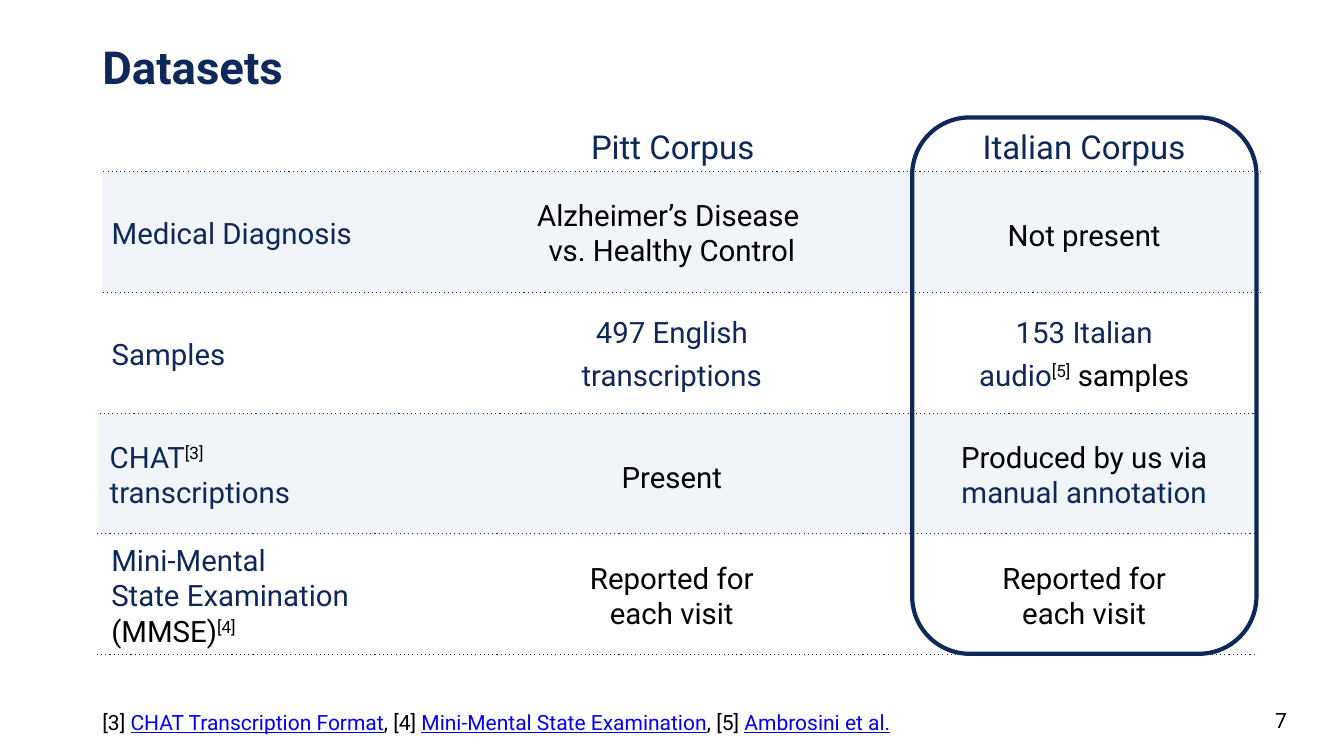
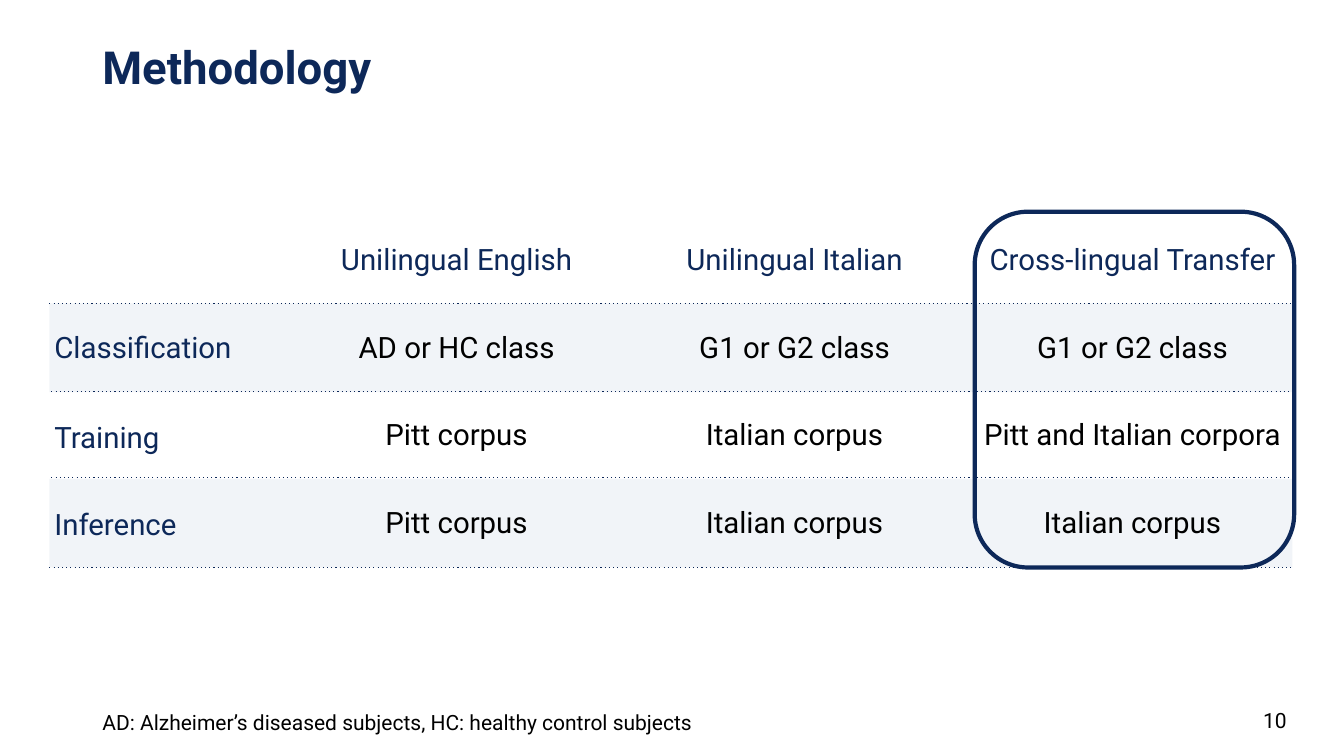
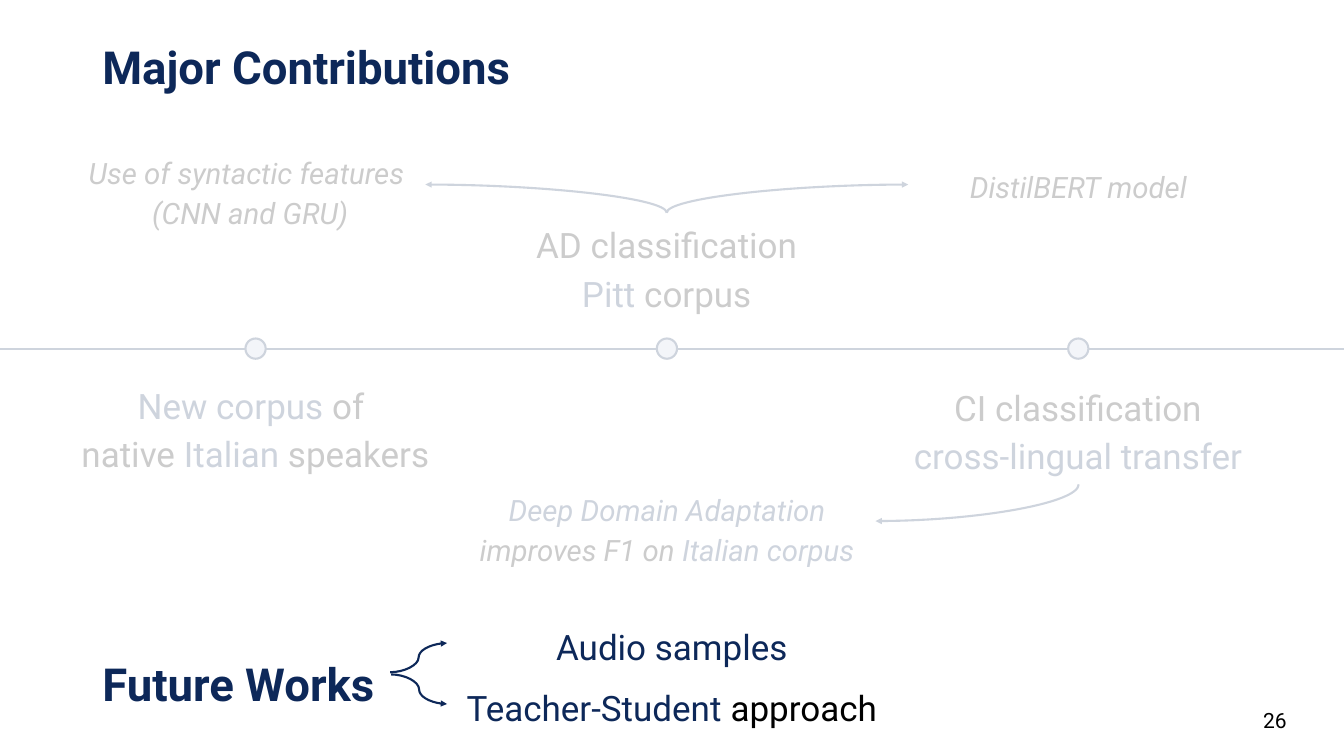
from lxml import etree
from pptx import Presentation
from pptx.dml.color import RGBColor
from pptx.enum import dml, shapes, text
from pptx.oxml import ns
from pptx.util import Cm, Pt

COLORS = {"navy": "0D2859", "black": "000000", "white": "FFFFFF",
          "pale": "C3CEE3", "link": "0000FF"}
FONT = "Roboto"
SMALL, CELL, HEAD, LARGE, TITLE = 30, 42, 47, 50, 65
WIDE_INSET, CELL_INSET, PAGE_INSET = (0.51, 0.25), (0.25, 0.25), (0.15, 0.15)
TITLE_BOX = (4.65, 2.03, 58.42, 2.95)
FOOT_BOX = (4.65, 35.33, 58.42, 1.93)
PAGE_BOX = (60.99, 35.33, 4.01, 1.93)

ALIGN = {"left": text.PP_ALIGN.LEFT, "center": text.PP_ALIGN.CENTER,
         "right": text.PP_ALIGN.RIGHT, "justify": text.PP_ALIGN.JUSTIFY}
ANCHOR = {"top": text.MSO_ANCHOR.TOP, "middle": text.MSO_ANCHOR.MIDDLE,
          "bottom": text.MSO_ANCHOR.BOTTOM}


def rgb(name):
    return RGBColor.from_string(COLORS[name])


def lengths(values):
    return [Cm(value) for value in values]


def child(parent, tag, **attributes):
    element = etree.SubElement(parent, ns.qn(tag))
    for name, value in attributes.items():
        element.set(name, value)


def navy(words):
    return words, {"color": "navy"}


def link(words):
    return words, {"color": "link", "underline": True}


def raised(words):
    return words, {"raised": True}


def add_run(paragraph, words, size, color="black", bold=False, italic=False,
            underline=False, raised=False):
    """Add words in one format; a newline becomes a line break."""
    for number, line in enumerate(words.split("\n")):
        if number:
            paragraph.add_line_break()
        if not line:
            continue
        run = paragraph.add_run()
        run.text = line
        font = run.font
        font.name, font.size, font.bold, font.italic = FONT, Pt(size), bold, italic
        font.color.rgb = rgb(color)
        if underline:
            font.underline = True
        if raised:
            run._r.get_or_add_rPr().set("baseline", "30000")


def write(shape, paragraphs, size=CELL, align="left", anchor="top", inset=CELL_INSET,
          spacing=1.0, between=0, after=0, **run_format):
    """Fill a shape with paragraphs, each a list of runs (words, or words with a format)."""
    frame = shape.text_frame
    frame.word_wrap = True
    frame.auto_size = text.MSO_AUTO_SIZE.NONE
    frame.vertical_anchor = ANCHOR[anchor]
    frame.margin_left = frame.margin_right = Cm(inset[0])
    frame.margin_top = frame.margin_bottom = Cm(inset[1])
    for number, runs in enumerate(paragraphs):
        paragraph = frame.add_paragraph() if number else frame.paragraphs[0]
        if shape.is_placeholder:
            properties = paragraph._p.get_or_add_pPr()
            properties.set("marL", "0")
            properties.set("indent", "0")
            child(properties, "a:buNone")
        paragraph.alignment = ALIGN[align]
        paragraph.line_spacing = spacing
        paragraph.space_before = Pt(between if number else 0)
        paragraph.space_after = Pt(after if number == len(paragraphs) - 1 else 0)
        for run in runs:
            words, own = (run, {}) if isinstance(run, str) else run
            add_run(paragraph, words, size, **{**run_format, **own})


class Deck:
    def __init__(self):
        self.presentation = Presentation()
        self.presentation.slide_width = Cm(67.73)
        self.presentation.slide_height = Cm(38.1)

    def new_slide(self, layout, title):
        slide = self.presentation.slides.add_slide(
            self.presentation.slide_layouts.get_by_name(layout))
        self.slide, self.shapes = slide, slide.shapes
        self.bodies = [holder for holder in slide.placeholders
                       if holder.placeholder_format.idx]
        self.place(slide.shapes.title, TITLE_BOX)
        write(slide.shapes.title, [[title]], size=TITLE, color="navy", bold=True,
              inset=WIDE_INSET, spacing=0.9)

    def place(self, shape, box):
        shape.left, shape.top, shape.width, shape.height = lengths(box)

    def text(self, box, paragraphs, **text_format):
        write(self.shapes.add_textbox(*lengths(box)), paragraphs, **text_format)

    def body(self, box, paragraphs, **text_format):
        """Write in the next free body placeholder, or in a text box when none is left."""
        if not self.bodies:
            return self.text(box, paragraphs, **text_format)
        holder = self.bodies.pop(0)
        self.place(holder, box)
        write(holder, paragraphs, **text_format)

    def page_number(self, number):
        self.text(PAGE_BOX, [[str(number)]], size=SMALL, align="right",
                  anchor="middle", inset=PAGE_INSET)

    def shape(self, kind, box, fill=None, opacity=None, width=None):
        shape = self.shapes.add_shape(kind, *lengths(box))
        shape.shadow.inherit = False
        if fill:
            shape.fill.solid()
            shape.fill.fore_color.rgb = rgb(fill)
        else:
            shape.fill.background()
        if opacity:
            color = shape._element.spPr.find(".//" + ns.qn("a:srgbClr"))
            child(color, "a:alpha", val=str(opacity * 1000))
        if width:
            shape.line.color.rgb = rgb("navy")
            shape.line.width = Pt(width)
        else:
            shape.line.fill.background()

    def band(self, box):
        self.shape(shapes.MSO_SHAPE.RECTANGLE, box, fill="pale", opacity=22)

    def frame(self, box):
        self.shape(shapes.MSO_SHAPE.ROUNDED_RECTANGLE, box, width=6)

    def connector(self, start, end, kind=shapes.MSO_CONNECTOR.STRAIGHT, width=3, arrow=False):
        connector = self.shapes.add_connector(kind, *lengths(start + end))
        connector.line.color.rgb = rgb("navy")
        connector.line.width = Pt(width)
        if arrow:
            child(connector.line._get_or_add_ln(), "a:tailEnd", type="triangle")
        child(connector._element.spPr, "a:effectLst")
        return connector

    def rule(self, left, top, width):
        line = self.connector((left, top), (left + width, top), width=1.5).line
        line.dash_style = dml.MSO_LINE.ROUND_DOT
        line._get_or_add_ln().find(ns.qn("a:prstDash")).set("val", "dot")

    def s_curve(self, start, end):
        self.connector(start, end, shapes.MSO_CONNECTOR.CURVE, arrow=True)

    def quarter_curve(self, start, end):
        """Arrow that leaves vertically and arrives horizontally: a turned quarter curve."""
        run, rise = end[0] - start[0], end[1] - start[1]
        middle_x, middle_y = start[0] + run / 2, start[1] + rise / 2
        half_width, half_height = abs(rise) / 2, abs(run) / 2
        if (run < 0) == (rise < 0):
            half_width = -half_width
        connector = self.connector((middle_x - half_width, middle_y - half_height),
                                   (middle_x + half_width, middle_y + half_height),
                                   shapes.MSO_CONNECTOR.CURVE, arrow=True)
        properties = connector._element.spPr
        properties.find(ns.qn("a:prstGeom")).set("prst", "curvedConnector2")
        turn = 90 if run < 0 else 270
        properties.find(ns.qn("a:xfrm")).set("rot", str(turn * 60000))


def datasets(deck):
    deck.new_slide("Title and Content", "Datasets")
    top, step, width, height = 8.64, 6.09, 58.39, 6.15
    for left, row in ((5.16, 0), (4.95, 2)):
        deck.band((left, top + step * row, width, height))
    for row, left in enumerate((5.21, 5.18, 5.03, 4.88, 4.88)):
        deck.rule(left, top + step * row, width)
    for left, header in ((24.18, "Pitt Corpus"), (44.91, "Italian Corpus")):
        deck.text((left, 6.15, 19.45, 2.49), [[header]], size=HEAD, align="center",
                  color="navy")

    labels = [
        (5.38, [navy("Medical Diagnosis")]),
        (5.38, [navy("Samples")]),
        (5.28, [navy("CHAT"), raised("[3] \n"), navy("transcriptions")]),
        (5.36, [navy("Mini-Mental \nState Examination\n"), "(MMSE)", raised("[4]")]),
    ]
    for row, (left, runs) in enumerate(labels):
        deck.text((left, top + step * row, 15.39, height), [runs], anchor="middle")

    loose, spaced = {"spacing": 1.15}, {"between": 10, "after": 10}
    visits = [["Reported for\neach visit"]]
    columns = {
        26.16: [
            ([["Alzheimer’s Disease \nvs. Healthy Control"]], {}),
            ([[navy("497 English")], [navy("transcriptions")]], spaced),
            ([["Present"]], loose),
            (visits, {}),
        ],
        46.94: [
            ([["Not present"]], loose),
            ([[navy("153 Italian")], [navy("audio"), raised("[5]"), " samples"]], spaced),
            ([["Produced by us via\n", navy("manual annotation")]], {}),
            (visits, {}),
        ],
    }
    for left, cells in columns.items():
        for row, (paragraphs, text_format) in enumerate(cells):
            deck.text((left, top + step * row, 15.39, height), paragraphs,
                      align="center", anchor="middle", **text_format)
    deck.frame((45.97, 5.92, 17.35, 27.03))
    deck.page_number(7)
    deck.body(FOOT_BOX, [["[3] ", link("CHAT Transcription Format"),
                          ", [4] ", link("Mini-Mental State Examination"),
                          ", [5] ", link("Ambrosini et al.")]],
              size=SMALL, anchor="middle", inset=WIDE_INSET, spacing=1.15)


def methodology(deck):
    deck.new_slide("Title Only", "Methodology")
    width, height = 62.64, 4.47
    for top in (15.29, 24.13):
        deck.band((2.49, top, width, height))
    for left, top in ((2.49, 15.29), (2.59, 19.71), (2.59, 24.05), (2.49, 28.6)):
        deck.rule(left, top, width)

    rows = [
        ("", "Unilingual English", "Unilingual Italian", "Cross-lingual Transfer"),
        ("Classification", "AD or HC class", "G1 or G2 class", "G1 or G2 class"),
        ("Training", "Pitt corpus", "Italian corpus", "Pitt and Italian corpora"),
        ("Inference", "Pitt corpus", "Italian corpus", "Italian corpus"),
    ]
    for row, (label, *cells) in enumerate(rows):
        top = 10.82 + 4.41 * row
        if label:
            deck.text((2.49, top, 9.98, height), [[label]], anchor="middle", color="navy",
                      **({"after": 10} if row == 1 else {"spacing": 1.15}))
        for column, words in enumerate(cells):
            deck.text((15.06 + 17.03 * column, top, 15.9, height), [[words]],
                      align="center", anchor="middle", after=10,
                      color="black" if row else "navy")
    deck.frame((49.12, 10.67, 16.1, 17.93))
    deck.page_number(10)
    deck.text(FOOT_BOX, [["AD: Alzheimer’s diseased subjects, HC: healthy control subjects"]],
              size=SMALL, anchor="middle", inset=WIDE_INSET, spacing=1.15)


def contributions(deck):
    deck.new_slide("Comparison", "Major Contributions")
    step = 20.73
    centered = {"align": "center", "inset": WIDE_INSET, "spacing": 1.15}
    milestones = [
        (18.82, [[navy("New corpus "), "of \nnative ", navy("Italian "), "speakers"]]),
        (10.72, [["AD classification"], [navy("Pitt "), "corpus"]]),
        (18.92, [["CI classification\n", navy("cross-lingual transfer")]]),
    ]
    for column, (top, paragraphs) in enumerate(milestones):
        deck.body((-0.26 + step * column, top, 26.26, 5.49), paragraphs, size=LARGE, **centered)

    details = [
        ((23.11, 24.26, 21.01, 4.04),
         [[navy("Deep Domain Adaptation")], ["improves F1 on ", navy("Italian corpus")]]),
        ((3.78, 7.29, 17.65, 4.04), [["Use of syntactic features \n(CNN and GRU)"]]),
        ((45.77, 8, 17.15, 2.62), [["DistilBERT model"]]),
    ]
    for box, paragraphs in details:
        deck.body(box, paragraphs, italic=True, **centered)
    for start, end in (((33.6, 10.72), (21.44, 9.3)), ((33.6, 10.72), (45.77, 9.3)),
                       ((54.36, 24.41), (44.12, 26.26))):
        deck.quarter_curve(start, end)

    deck.shapes = deck.slide.shapes.add_group_shape().shapes
    deck.connector((-1.09, 17.58), (68.83, 17.58))
    for column in range(3):
        deck.shape(shapes.MSO_SHAPE.OVAL, (12.37 + step * column, 17.06, 1.02, 1.02),
                   fill="pale", width=3)
    deck.shapes = deck.slide.shapes

    future = [(30.94, [navy("Audio samples")]),
              (34.01, [navy("Teacher-Student "), "approach"])]
    for top, runs in future:
        deck.text((22.53, top, 22.66, 2.95), [runs], size=LARGE, anchor="bottom", **centered)
    deck.s_curve((19.71, 33.99), (22.53, 35.48))
    deck.s_curve((19.66, 33.88), (22.53, 32.41))
    deck.text((4.65, 32.41, 14.99, 2.95), [["Future Works"]], size=TITLE, color="navy",
              bold=True, align="justify", inset=WIDE_INSET, spacing=1.15)
    deck.shape(shapes.MSO_SHAPE.RECTANGLE, (-0.13, 6.15, 68.28, 22.86),
               fill="white", opacity=80)
    deck.page_number(26)


def main():
    deck = Deck()
    datasets(deck)
    methodology(deck)
    contributions(deck)
    deck.presentation.save("out.pptx")


if __name__ == "__main__":
    main()
